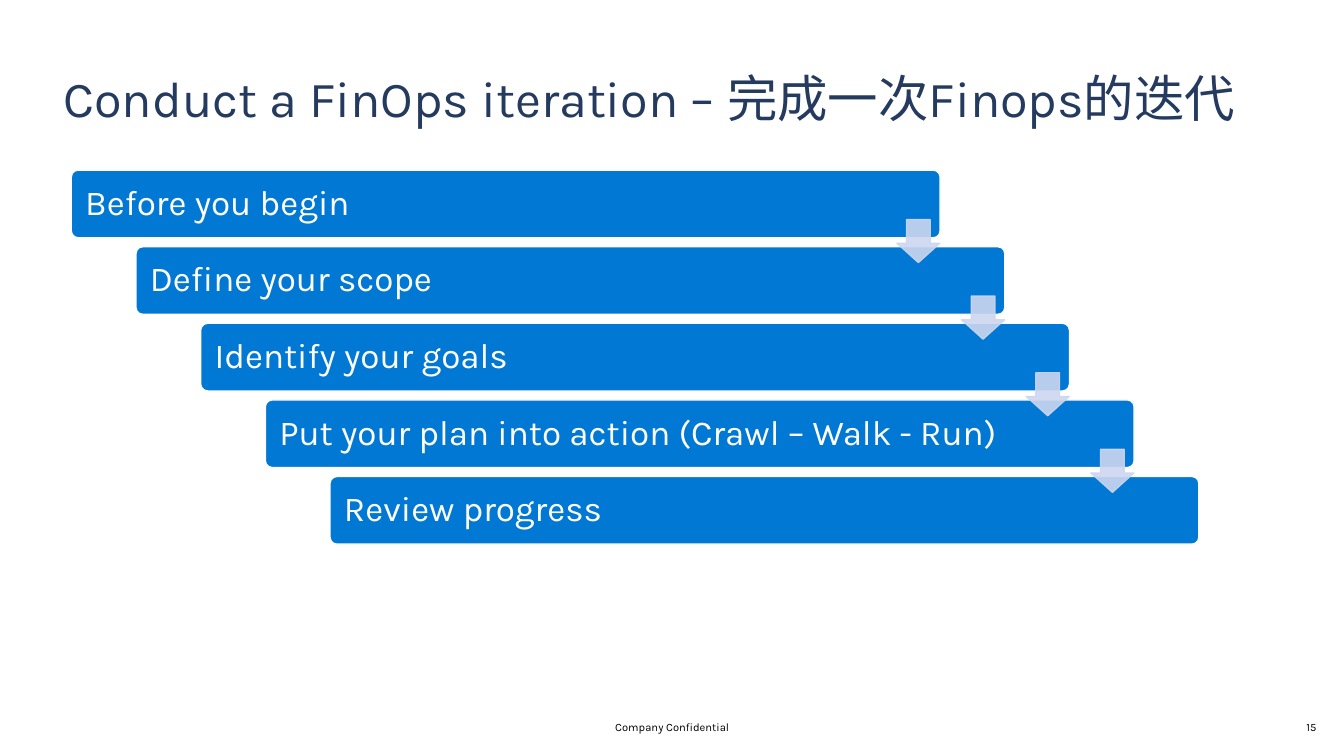
from lxml import etree
from pptx import Presentation
from pptx.dml.color import RGBColor
from pptx.enum.shapes import MSO_SHAPE as Preset
from pptx.enum.text import MSO_ANCHOR as Anchor, PP_ALIGN as Align
from pptx.oxml.ns import qn
from pptx.util import Cm, Pt

STEPS = [
    "Before you begin",
    "Define your scope",
    "Identify your goals",
    "Put your plan into action (Crawl – Walk - Run)",
    "Review progress",
]
BAR_LEFT, BAR_TOP, BAR_WIDTH, BAR_HEIGHT = 1.8, 4.29, 21.89, 1.7
STEP_RIGHT, STEP_DOWN = 1.63, 1.93
ARROW_SIZE, ARROW_DROP = 1.09, 1.24


def color(hex_code):
    return RGBColor.from_string(hex_code)


def write(frame, text, size=8, ink="000000", font="Karla", align=Align.LEFT,
          anchor=Anchor.MIDDLE, inset=0, spacing=1.0):
    frame.word_wrap = True
    frame.vertical_anchor = anchor
    frame.margin_left = frame.margin_right = Cm(inset)
    frame.margin_top = frame.margin_bottom = 0
    paragraph = frame.paragraphs[0]
    paragraph.alignment = align
    paragraph.line_spacing = spacing
    run = paragraph.add_run()
    run.text = text
    run.font.name = font
    run.font.size = Pt(size)
    run.font.color.rgb = color(ink)


class IterationSlide:
    title_ink = "243A5E"
    bar_fill = "0078D4"
    bar_ink = "FFFFFF"
    arrow_fill = "CCD6EF"
    arrow_opacity = 90

    def __init__(self, deck):
        self.slide = deck.slides.add_slide(deck.slide_layouts[6])

    def label(self, text, left, top, width, height, **text_format):
        box = self.slide.shapes.add_textbox(Cm(left), Cm(top), Cm(width), Cm(height))
        write(box.text_frame, text, **text_format)

    def preset(self, kind, left, top, width, height, fill, line, adjustments):
        shape = self.slide.shapes.add_shape(
            kind, Cm(left), Cm(top), Cm(width), Cm(height))
        shape.shadow.inherit = False
        shape.fill.solid()
        shape.fill.fore_color.rgb = color(fill)
        shape.line.color.rgb = color(line)
        shape.line.width = Pt(0.85)
        for index, value in enumerate(adjustments):
            shape.adjustments[index] = value
        return shape

    def bar(self, text, left, top):
        bar = self.preset(Preset.ROUNDED_RECTANGLE, left, top, BAR_WIDTH, BAR_HEIGHT,
                          self.bar_fill, self.bar_ink, [0.1])
        write(bar.text_frame, text, size=25, ink=self.bar_ink, inset=0.3, spacing=0.9)

    def arrow(self, left, top):
        arrow = self.preset(Preset.DOWN_ARROW, left, top, ARROW_SIZE, ARROW_SIZE,
                            self.arrow_fill, self.arrow_fill, [0.55, 0.45])
        for tint in arrow.element.spPr.iter(qn("a:srgbClr")):
            etree.SubElement(tint, qn("a:alpha"), val=str(self.arrow_opacity * 1000))


def main():
    deck = Presentation()
    deck.slide_width, deck.slide_height = Cm(33.87), Cm(19.05)
    page = IterationSlide(deck)
    page.label("Conduct a FinOps iteration – 完成一次Finops的迭代", 1.6, 1.68, 30.8, 1.55,
               size=36, ink=page.title_ink, anchor=Anchor.TOP)

    corners = [(BAR_LEFT + i * STEP_RIGHT, BAR_TOP + i * STEP_DOWN)
               for i in range(len(STEPS))]
    for step, (left, top) in zip(STEPS, corners):
        page.bar(step, left, top)
    for left, top in corners[:-1]:
        page.arrow(left + BAR_WIDTH - ARROW_SIZE, top + ARROW_DROP)

    page.label("Company Confidential", 11.23, 18.16, 11.43, 0.33, align=Align.CENTER)
    page.label("15", 32.49, 18.16, 1.12, 0.33, align=Align.CENTER)
    deck.save("out.pptx")


if __name__ == "__main__":
    main()
